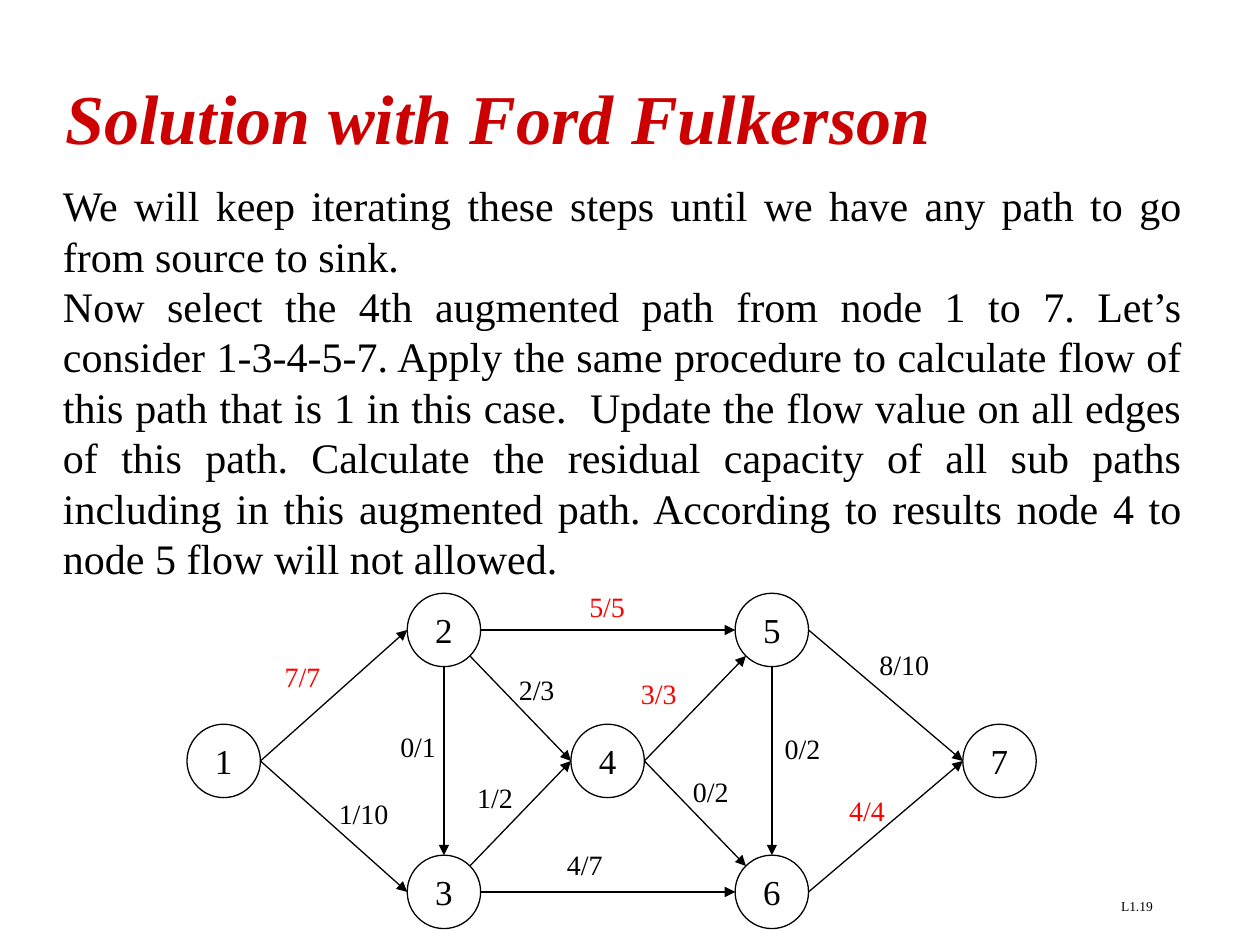
from lxml.etree import SubElement
from pptx import Presentation
from pptx.dml.color import RGBColor
from pptx.enum.shapes import MSO_CONNECTOR, MSO_SHAPE
from pptx.enum.text import MSO_ANCHOR, PP_ALIGN
from pptx.oxml.ns import qn
from pptx.util import Cm, Pt

COLORS = {"title": "CC0000", "ink": "000000", "saturated": "FF0000"}
DIAMETER = 1.48
RADIUS = DIAMETER / 2
DIAGONAL = RADIUS * 0.7071
SIDES = {
    "left": (-RADIUS, 0), "right": (RADIUS, 0),
    "top": (0, -RADIUS), "bottom": (0, RADIUS),
    "top left": (-DIAGONAL, -DIAGONAL), "top right": (DIAGONAL, -DIAGONAL),
    "bottom left": (-DIAGONAL, DIAGONAL), "bottom right": (DIAGONAL, DIAGONAL),
}


def write(frame, text, size, color="ink", align=PP_ALIGN.LEFT):
    frame.text = text
    for paragraph in frame.paragraphs:
        paragraph.alignment = align
        for run in paragraph.runs:
            run.font.name = "Times New Roman"
            run.font.size = Pt(size)
            run.font.color.rgb = RGBColor.from_string(COLORS[color])


def add_text(left, top, width, height, wrap=False):
    frame = slide.shapes.add_textbox(Cm(left), Cm(top), Cm(width), Cm(height)).text_frame
    frame.word_wrap = wrap
    return frame


prs = Presentation()
prs.slide_width, prs.slide_height = Cm(25.4), Cm(19.05)
slide = prs.slides.add_slide(prs.slide_layouts[5])

# Heading and explanation
title = slide.shapes.title
title.left, title.top, title.width, title.height = Cm(1.07), Cm(1.07), Cm(23.7), Cm(2.54)
title.text_frame.vertical_anchor = MSO_ANCHOR.MIDDLE
write(title.text_frame, "Solution with Ford Fulkerson", 40, "title")
title_font = title.text_frame.paragraphs[0].runs[0].font
title_font.bold = title_font.italic = True

explanation = add_text(1.02, 3.5, 23.06, 8.38, wrap=True)
write(
    explanation,
    "We will keep iterating these steps until we have any path to go from source to sink.\n"
    "Now select the 4th augmented path from node 1 to 7. Let’s consider 1-3-4-5-7. "
    "Apply the same procedure to calculate flow of this path that is 1 in this case.  "
    "Update the flow value on all edges of this path. Calculate the residual capacity "
    "of all sub paths including in this augmented path. According to results node 4 to "
    "node 5 flow will not allowed.",
    24, align=PP_ALIGN.JUSTIFY,
)

page_number = add_text(18.21, 17.98, 5.28, 0.64, wrap=True)
write(page_number, "L1.19", 7.7, align=PP_ALIGN.RIGHT)

# Nodes of the flow network, by centre
upper, middle, lower = (12.7 + 2.64 * row for row in range(3))
nodes = {
    1: (4.51, middle), 2: (8.95, upper), 3: (8.95, lower), 4: (12.25, middle),
    5: (15.56, upper), 6: (15.56, lower), 7: (20.15, middle),
}
for number, (x, y) in nodes.items():
    node = slide.shapes.add_shape(
        MSO_SHAPE.OVAL, Cm(x - RADIUS), Cm(y - RADIUS), Cm(DIAMETER), Cm(DIAMETER))
    node.shadow.inherit = False
    node.fill.background()
    node.line.color.rgb = RGBColor.from_string(COLORS["ink"])
    node.line.width = Pt(0.75)
    node.text_frame.vertical_anchor = MSO_ANCHOR.MIDDLE
    write(node.text_frame, str(number), 20, align=PP_ALIGN.CENTER)

# Edges: start node and side, end node and side, flow/capacity, label left, top, width
edges = [
    (1, "right", 2, "left", "7/7", 5.49, 13.18, 1.24),
    (1, "right", 3, "left", "1/10", 6.58, 15.93, 1.52),
    (2, "right", 5, "left", "5/5", 11.63, 11.76, 1.27),
    (3, "right", 6, "left", "4/7", 11.18, 16.97, 1.37),
    (2, "bottom", 3, "top", "0/1", 7.82, 14.58, 1.24),
    (2, "bottom right", 4, "left", "2/3", 10.21, 13.44, 1.3),
    (3, "top right", 4, "left", "1/2", 9.37, 15.62, 1.47),
    (4, "right", 5, "bottom left", "3/3", 12.67, 13.51, 1.4),
    (4, "right", 6, "top left", "0/2", 13.72, 15.49, 1.4),
    (5, "bottom", 6, "top", "0/2", 15.57, 14.63, 1.24),
    (5, "right", 7, "left", "8/10", 17.48, 12.93, 1.68),
    (6, "right", 7, "left", "4/4", 16.87, 15.88, 1.35),
]
for start, start_side, end, end_side, load, left, top, width in edges:
    x1, y1 = (c + d for c, d in zip(nodes[start], SIDES[start_side]))
    x2, y2 = (c + d for c, d in zip(nodes[end], SIDES[end_side]))
    edge = slide.shapes.add_connector(
        MSO_CONNECTOR.STRAIGHT, Cm(x1), Cm(y1), Cm(x2), Cm(y2))
    edge.line.color.rgb = RGBColor.from_string(COLORS["ink"])
    edge.line.width = Pt(0.75)
    SubElement(edge.line._get_or_add_ln(), qn("a:tailEnd"), type="triangle")
    SubElement(edge._element.spPr, qn("a:effectLst"))

    flow, capacity = load.split("/")
    label = add_text(left, top, width, 0.94)
    write(label, load, 16, "saturated" if flow == capacity else "ink")

prs.save("out.pptx")
